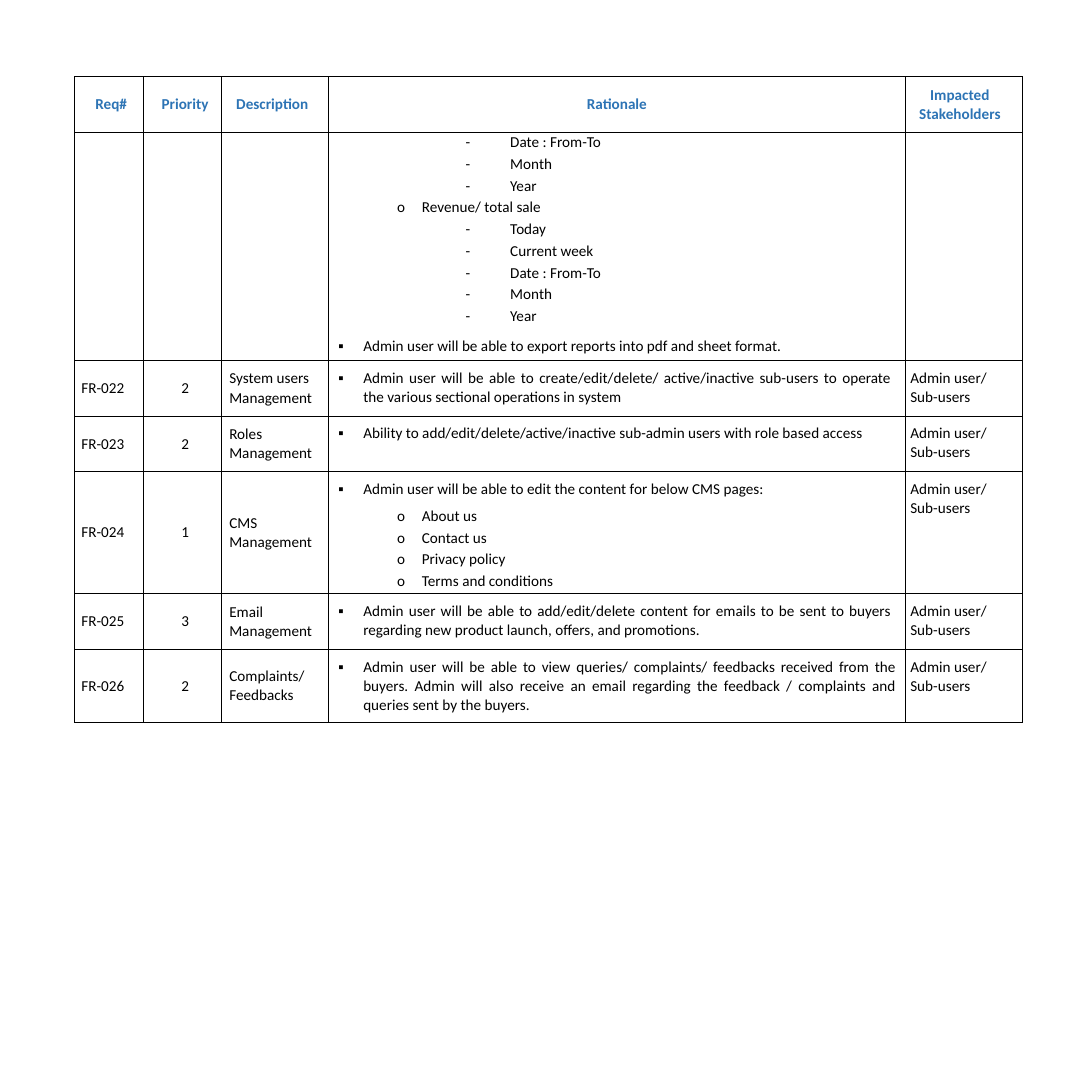
from lxml import etree
from pptx import Presentation
from pptx.dml.color import RGBColor
from pptx.enum.text import MSO_ANCHOR, PP_ALIGN
from pptx.oxml.ns import qn
from pptx.util import Inches, Pt

LEFT, CENTER, JUSTIFY = PP_ALIGN.LEFT, PP_ALIGN.CENTER, PP_ALIGN.JUSTIFY
TOP, MIDDLE = MSO_ANCHOR.TOP, MSO_ANCHOR.MIDDLE

FONT = "Calibri"
BLACK = "000000"
HEADER_BLUE = "2D74B5"
LINE_SPACING = 1.02
COLUMN_WIDTHS = [0.69, 0.79, 1.08, 5.81, 1.18]
ROW_HEIGHTS = [0.56, 2.3, 0.56, 0.56, 1.23, 0.56, 0.74]
BULLET_INDENTS = {"▪": (0.35, 0.25), "o": (0.94, 0.25), "-": (1.83, 0.45)}

HEADERS = [
    ("Req#", LEFT, 0.21, 0),
    ("Priority", CENTER, 0.06, 0),
    ("Description", LEFT, 0.15, 0),
    ("Rationale", CENTER, 0, 0),
    ("Impacted Stakeholders", CENTER, 0, 0.08),
]
REPORT_FILTERS = [
    ("-", "Date : From-To"),
    ("-", "Month"),
    ("-", "Year"),
    ("o", "Revenue/ total sale"),
    ("-", "Today"),
    ("-", "Current week"),
    ("-", "Date : From-To"),
    ("-", "Month"),
    ("-", "Year"),
    ("▪", "Admin user will be able to export reports into pdf and sheet format."),
]
STAKEHOLDERS = "Admin user/ Sub-users"
REQUIREMENTS = [
    ("FR-022", "2", "System users Management", 0.14, [
        ("▪", "Admin user will be able to create/edit/delete/ active/inactive "
              "sub-users to operate the various sectional operations in system"),
    ]),
    ("FR-023", "2", "Roles Management", 0, [
        ("▪", "Ability to add/edit/delete/active/inactive sub-admin users "
              "with role based access"),
    ]),
    ("FR-024", "1", "CMS Management", 0, [
        ("▪", "Admin user will be able to edit the content for below CMS pages:"),
        ("o", "About us"),
        ("o", "Contact us"),
        ("o", "Privacy policy"),
        ("o", "Terms and conditions"),
    ]),
    ("FR-025", "3", "Email Management", 0.14, [
        ("▪", "Admin user will be able to add/edit/delete content for emails "
              "to be sent to buyers regarding new product launch, offers, "
              "and promotions."),
    ]),
    ("FR-026", "2", "Complaints/ Feedbacks", 0.09, [
        ("▪", "Admin user will be able to view queries/ complaints/ feedbacks "
              "received from the buyers. Admin will also receive an email "
              "regarding the feedback / complaints and queries sent by the "
              "buyers."),
    ]),
]


def rgb(hex_color):
    return RGBColor.from_string(hex_color)


def set_borders(cell):
    properties = cell._tc.get_or_add_tcPr()
    for side in ("a:lnL", "a:lnR", "a:lnT", "a:lnB"):
        border = etree.SubElement(properties, qn(side), w=str(Pt(0.5)))
        fill = etree.SubElement(border, qn("a:solidFill"))
        etree.SubElement(fill, qn("a:srgbClr"), val=BLACK)


def set_margins(cell, left=0, top=0, right=0):
    cell.margin_left = Inches(left)
    cell.margin_top = Inches(top)
    cell.margin_right = Inches(right)
    cell.margin_bottom = 0


def format_text(paragraph, align, color=BLACK, bold=False):
    paragraph.alignment = align
    for run in paragraph.runs:
        run.font.name = FONT
        run.font.size = Pt(11)
        run.font.bold = bold
        run.font.color.rgb = rgb(color)


def set_bullet(paragraph, bullet):
    margin, hanging = BULLET_INDENTS[bullet]
    properties = paragraph._p.get_or_add_pPr()
    properties.set("marL", str(Inches(margin)))
    properties.set("indent", str(-Inches(hanging)))
    etree.SubElement(properties, qn("a:buFont"), typeface=FONT)
    etree.SubElement(properties, qn("a:buChar"), char=bullet)


def fill_label(cell, text, align=LEFT, left=0, right=0, top=0, anchor=MIDDLE,
               color=BLACK, bold=False):
    set_margins(cell, left, top, right)
    cell.vertical_anchor = anchor
    cell.text_frame.text = text
    paragraph = cell.text_frame.paragraphs[0]
    paragraph.line_spacing = LINE_SPACING
    format_text(paragraph, align, color, bold)


def space_above(previous, bullet):
    if bullet == "▪":
        return 8.3
    return 6.2 if previous == "▪" else 2.2


def fill_rationale(cell, items, top, right=0):
    set_margins(cell, top=top, right=right)
    cell.vertical_anchor = TOP
    cell.text_frame.text = "\n".join(text for _, text in items)
    previous = None
    for paragraph, (bullet, _) in zip(cell.text_frame.paragraphs, items):
        if previous:
            paragraph.space_before = Pt(space_above(previous, bullet))
        if len(items) == 1:
            paragraph.line_spacing = LINE_SPACING
        format_text(paragraph, JUSTIFY if right else LEFT)
        set_bullet(paragraph, bullet)
        previous = bullet


def add_requirements_table(slide):
    table = slide.shapes.add_table(
        len(ROW_HEIGHTS), len(COLUMN_WIDTHS), Inches(0.75), Inches(0.77),
        Inches(sum(COLUMN_WIDTHS)), Inches(sum(ROW_HEIGHTS))).table
    table.first_row = False
    table.horz_banding = False
    for column, width in zip(table.columns, COLUMN_WIDTHS):
        column.width = Inches(width)
    for row, height in zip(table.rows, ROW_HEIGHTS):
        row.height = Inches(height)
    for cell in table.iter_cells():
        set_borders(cell)
        cell.fill.background()
    return table


def fill_requirement(cells, requirement):
    number, priority, description, rationale_right, rationale = requirement
    fill_label(cells[0], number, left=0.07)
    fill_label(cells[1], priority, CENTER, left=0.06)
    fill_label(cells[2], description, left=0.08)
    fill_rationale(cells[3], rationale, 0.08, rationale_right)
    fill_label(cells[4], STAKEHOLDERS, left=0.05, right=0.3, top=0.08, anchor=TOP)


def main():
    presentation = Presentation()
    presentation.slide_width = Inches(11)
    presentation.slide_height = Inches(11)
    slide = presentation.slides.add_slide(presentation.slide_layouts[6])
    table = add_requirements_table(slide)
    for column, (label, align, left, right) in enumerate(HEADERS):
        fill_label(table.cell(0, column), label, align, left, right,
                   color=HEADER_BLUE, bold=True)
    fill_rationale(table.cell(1, 3), REPORT_FILTERS, 0.01)
    for row, requirement in enumerate(REQUIREMENTS, start=2):
        fill_requirement(table.rows[row].cells, requirement)
    presentation.save("out.pptx")


if __name__ == "__main__":
    main()
